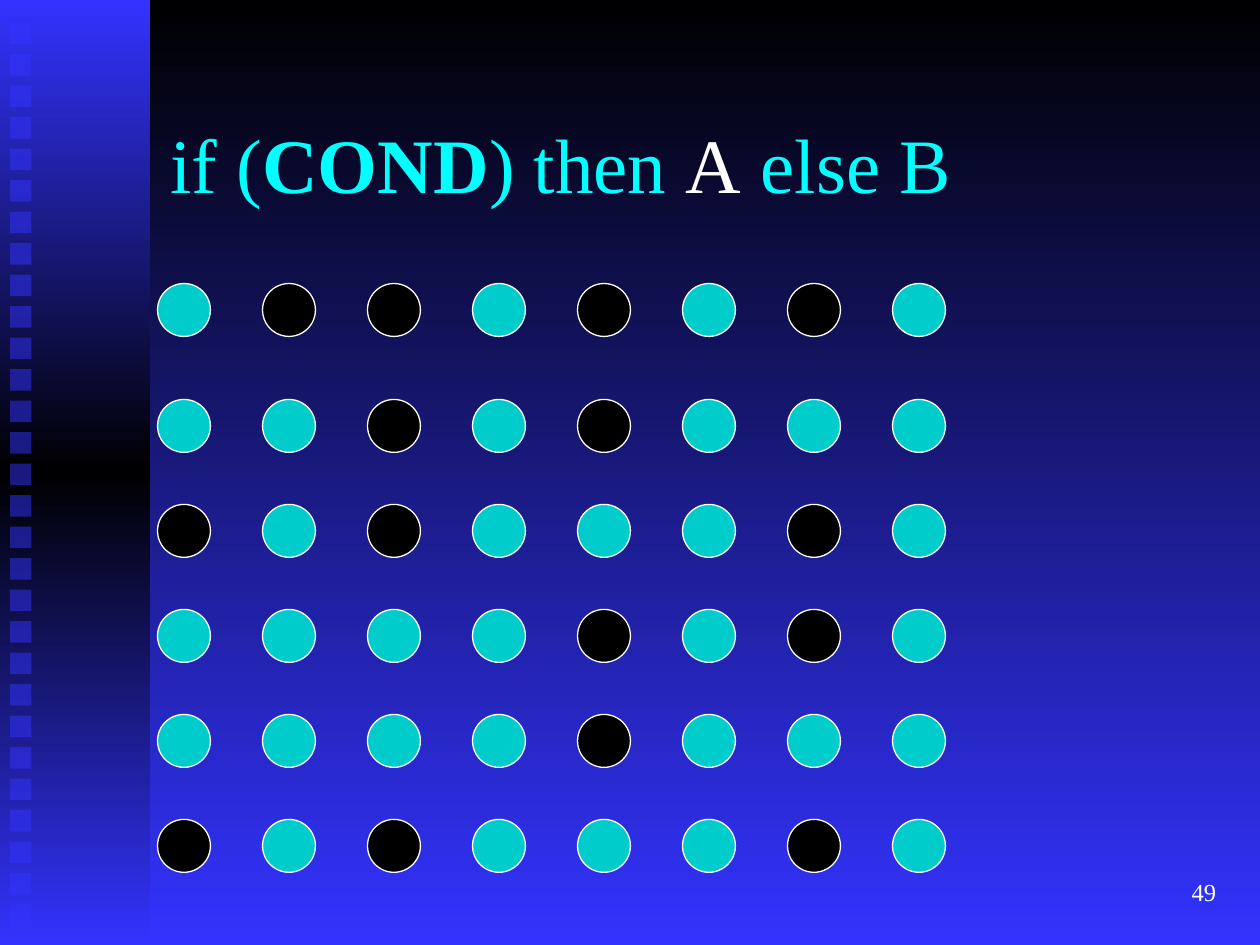
"""Build a slide showing divergent branches as a grid of lanes beside a striped side band."""
from pptx import Presentation, util as u
from pptx.dml.color import RGBColor
from pptx.enum import shapes, text
from pptx.oxml import parse_xml
from pptx.oxml.ns import nsdecls

THEME = {
    "font": "Times New Roman", "title_size": 44, "number_size": 14, "line": 0.75,
    "cyan": "00FFFF", "white": "FFFFFF", "black": "000000", "blue": "3333FF", "teal": "00CCCC",
}
TITLE = [("if (", "cyan", False), ("COND", "cyan", True), (") then ", "cyan", False),
         ("A", "white", False), (" else B", "cyan", False)]
NUMBER = "49"
LANES = ["BAABABAB", "BBABABBB", "ABABBBAB", "BBBBABAB", "BBBBABBB", "ABABBBAB"]
BRANCH = {"A": "black", "B": "teal"}
LEFT, DOT, PITCH = 1.25, 0.42, 5 / 6
FIRST_TOP, SECOND_TOP = 2.25, 3.17
SQUARES, SQUARE, SQUARE_PITCH = 29, 0.17, 0.25


def color(name):
    return RGBColor.from_string(THEME[name])


def gradient(solid, names):
    stops = "".join(f'<a:gs pos="{100000 * i // (len(names) - 1)}"><a:srgbClr val="{THEME[n]}"/></a:gs>'
                    for i, n in enumerate(names))
    solid.getparent().replace(solid, parse_xml(
        f'<a:gradFill rotWithShape="1" {nsdecls("a")}><a:gsLst>{stops}</a:gsLst>'
        '<a:lin ang="5400000" scaled="0"/></a:gradFill>'))


def add_shape(group, kind, box, fill, line=None):
    sp = group.shapes.add_shape(kind, *map(u.Inches, box))
    sp.shadow.inherit = False
    sp.fill.solid()
    sp.fill.fore_color.rgb = color(fill)
    if line:
        sp.line.color.rgb = color(line)
        sp.line.width = u.Pt(THEME["line"])
    else:
        sp.line.fill.background()
    return sp


def place(sp, box):
    sp.left, sp.top, sp.width, sp.height = map(u.Inches, box)
    tf = sp.text_frame
    tf.word_wrap = True
    tf.auto_size = text.MSO_AUTO_SIZE.NONE
    tf.vertical_anchor = text.MSO_ANCHOR.MIDDLE
    return tf.paragraphs[0]


def style(r, size, name, bold=False):
    r.font.name, r.font.size, r.font.bold = THEME["font"], u.Pt(THEME[size]), bold
    r.font.color.rgb = color(name)


def add_band(s):
    group = s.shapes.add_group_shape()
    rect = shapes.MSO_SHAPE.RECTANGLE
    band = add_shape(group, rect, (0, 0, 1.19, 7.5), "blue")
    gradient(band.element.xpath("./p:spPr/a:solidFill")[0], ("blue", "black", "blue"))
    for i in range(SQUARES):
        sp = add_shape(group, rect, (0.08, 0.18 + i * SQUARE_PITCH, SQUARE, SQUARE), "blue")
        clr = sp.element.xpath("./p:spPr/a:solidFill/a:srgbClr")[0]
        clr.append(parse_xml(f'<a:alpha {nsdecls("a")} val="50000"/>'))


def add_title(s):
    title = s.shapes.title
    title.element.getparent().append(title.element)
    p = place(title, (LEFT, 0.67, 8.5, 1.25))
    p.alignment = text.PP_ALIGN.LEFT
    for words, name, bold in TITLE:
        r = p.add_run()
        r.text = words
        style(r, "title_size", name, bold)


def add_lanes(s):
    group = s.shapes.add_group_shape()
    for row, lane in enumerate(LANES):
        top = SECOND_TOP + (row - 1) * PITCH if row else FIRST_TOP
        for col, branch in enumerate(lane):
            add_shape(group, shapes.MSO_SHAPE.OVAL, (LEFT + col * PITCH, top, DOT, DOT),
                      BRANCH[branch], "white")


def add_number(s):
    box = (7.67, 6.83, 2.08, 0.5)
    p = place(s.shapes.add_textbox(*map(u.Inches, box)), box)
    p.text = NUMBER
    p.alignment = text.PP_ALIGN.RIGHT
    style(p.runs[0], "number_size", "white")


def main():
    prs = Presentation()
    prs.slide_width, prs.slide_height = u.Inches(10), u.Inches(7.5)
    s = prs.slides.add_slide(prs.slide_layouts[5])
    s.background.fill.solid()
    gradient(s.element.xpath(".//p:bgPr/a:solidFill")[0], ("black", "blue"))
    add_band(s)
    add_title(s)
    add_lanes(s)
    add_number(s)
    prs.save("out.pptx")


if __name__ == "__main__":
    main()
